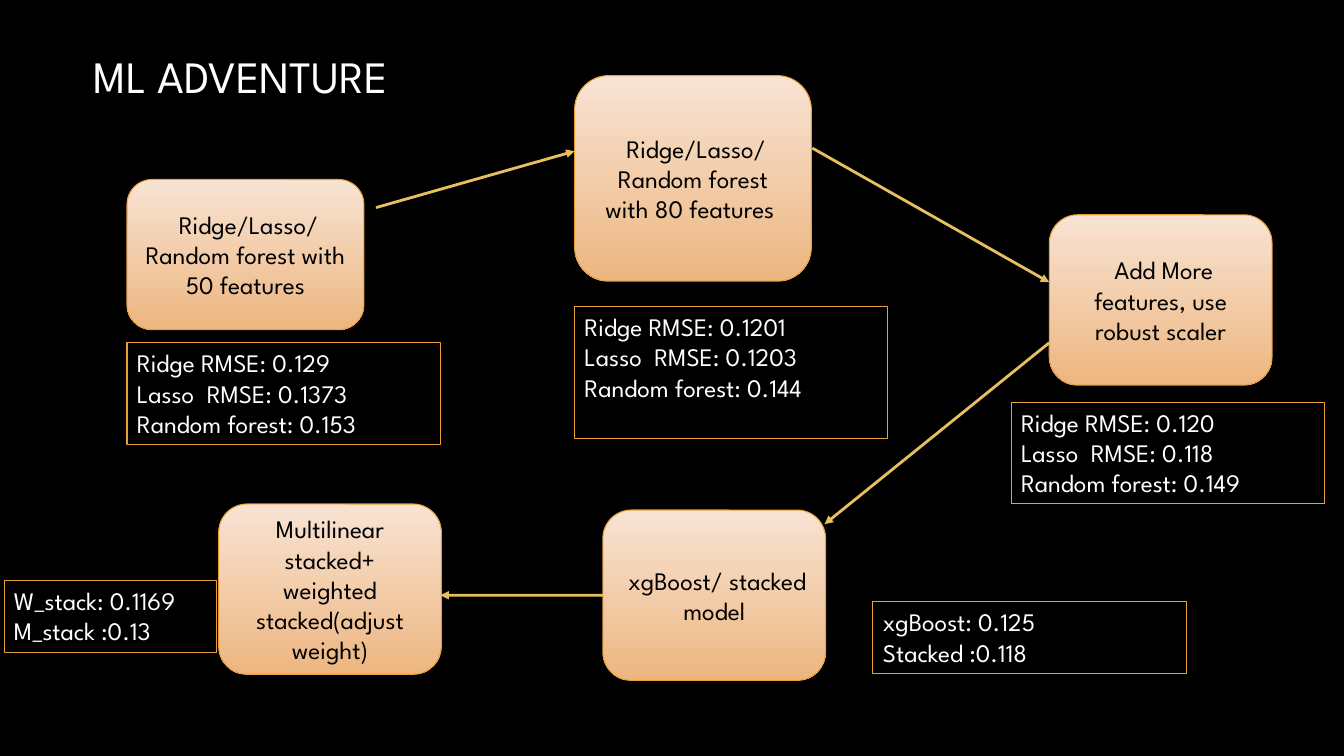
from lxml import etree
from pptx import Presentation, util as u
from pptx.dml import color
from pptx.enum import shapes, text
from pptx.oxml import ns

THEME = {
    "background": color.RGBColor.from_string("000000"),
    "outline": color.RGBColor.from_string("E9A039"),
    "arrow": color.RGBColor.from_string("E7BF5F"),
    "stage_text": color.RGBColor.from_string("000000"),
    "note_text": color.RGBColor.from_string("FFFFFF"),
    "stage_gradient": ("F8E3D3", "EDB680"),
    "title_gradient": ("FFFFFF", "A6A6A6"),
    "font": "League Spartan",
    "title_size": u.Pt(32),
    "body_size": u.Pt(18),
}


def shade(fill, hexes, angle):
    fill.gradient()
    fill.gradient_angle = angle
    for stop, value in zip(fill.gradient_stops, hexes):
        stop.color.rgb = color.RGBColor.from_string(value)


def write(box, lines, size, anchor, align, ink=None):
    frame = box.text_frame
    layout = {"word_wrap": True, "vertical_anchor": anchor,
              "auto_size": text.MSO_AUTO_SIZE.NONE}
    for name, value in layout.items():
        setattr(frame, name, value)
    for index, line in enumerate(lines):
        para = frame.paragraphs[0] if index == 0 else frame.add_paragraph()
        para.alignment = align
        span = para.add_run()
        span.text = line
        for name, value in {"name": THEME["font"], "size": size}.items():
            setattr(span.font, name, value)
        if ink is None:
            shade(span.font.fill, THEME["title_gradient"], 267)
        else:
            span.font.color.rgb = ink


deck = Presentation()
deck.slide_width, deck.slide_height = u.Pt(960), u.Pt(540)
page = deck.slides.add_slide(deck.slide_layouts[6])
page.background.fill.solid()
page.background.fill.fore_color.rgb = THEME["background"]

# Title
title = page.shapes.add_textbox(u.Pt(59.8), u.Pt(0), u.Pt(900), u.Pt(107.3))
write(title, ["ML ADVENTURE"], THEME["title_size"],
      text.MSO_ANCHOR.MIDDLE, text.PP_ALIGN.LEFT)

# Stages: left, top, width, height, lines
WIDE, NARROW, TALL = 169.2, 159.1, 121.7
stages = [
    (90.7, 128.2, WIDE, 107.3, [" Ridge/Lasso/", "Random forest with", "50 features"]),
    (410.4, 54, WIDE, 146.9, [" Ridge/Lasso/", "Random forest with 80 features "]),
    (749.5, 153.4, NARROW, TALL, [" Add More features, use robust scaler"]),
    (430.6, 364.3, NARROW, TALL, [" xgBoost/ stacked model"]),
    (156.2, 360, NARROW, TALL, ["Multilinear stacked+ weighted stacked(adjust weight)"]),
]
stage_boxes = []
for *place, lines in stages:
    box = page.shapes.add_shape(shapes.MSO_SHAPE.ROUNDED_RECTANGLE, *map(u.Pt, place))
    box.shadow.inherit = False
    shade(box.fill, THEME["stage_gradient"], 270)
    box.line.color.rgb = THEME["outline"]
    box.line.width = u.Pt(0.75)
    write(box, lines, THEME["body_size"], text.MSO_ANCHOR.MIDDLE,
          text.PP_ALIGN.CENTER, THEME["stage_text"])
    stage_boxes.append(box)

# Scores: left, top, width, height, lines
SCORE_WIDTH, THREE_LINES, TWO_LINES = 223.9, 72.7, 51.1
scores = [
    (90.7, 244.8, SCORE_WIDTH, THREE_LINES,
     ["Ridge RMSE: 0.129", "Lasso  RMSE: 0.1373", "Random forest: 0.153"]),
    (410.4, 218.9, SCORE_WIDTH, 94.3,
     ["Ridge RMSE: 0.1201", "Lasso  RMSE: 0.1203", "Random forest: 0.144"]),
    (722.2, 287.3, SCORE_WIDTH, THREE_LINES,
     ["Ridge RMSE: 0.120", "Lasso  RMSE: 0.118", "Random forest: 0.149"]),
    (623.5, 429.8, SCORE_WIDTH, TWO_LINES, ["xgBoost: 0.125", "Stacked :0.118"]),
    (2.9, 414.7, 151.9, TWO_LINES, ["W_stack: 0.1169", "M_stack :0.13"]),
]
for *place, lines in scores:
    box = page.shapes.add_shape(shapes.MSO_SHAPE.RECTANGLE, *map(u.Pt, place))
    box.shadow.inherit = False
    box.fill.background()
    box.line.color.rgb = THEME["outline"]
    box.line.width = u.Pt(0.75)
    write(box, lines, THEME["body_size"], text.MSO_ANCHOR.TOP,
          text.PP_ALIGN.LEFT, THEME["note_text"])

# Arrows from stage to stage: begin x, begin y, end x, end y
arrows = [
    (268.6, 148.3, 410.4, 108),
    (580.3, 105.8, 749.5, 201.6),
    (749.5, 244.8, 589, 374.4),
    (430.6, 425.2, 314.6, 425.2),
]
for ends in arrows:
    arrow = page.shapes.add_connector(shapes.MSO_CONNECTOR.STRAIGHT, *map(u.Pt, ends))
    arrow.line.color.rgb = THEME["arrow"]
    arrow.line.width = u.Pt(2)
    etree.SubElement(arrow.line._get_or_add_ln(), ns.qn("a:tailEnd"), type="triangle")
    etree.SubElement(arrow._element.spPr, ns.qn("a:effectLst"))
# The last arrow leaves the middle of the xgBoost stage's left side
arrow.begin_connect(stage_boxes[3], 1)

deck.save("out.pptx")
